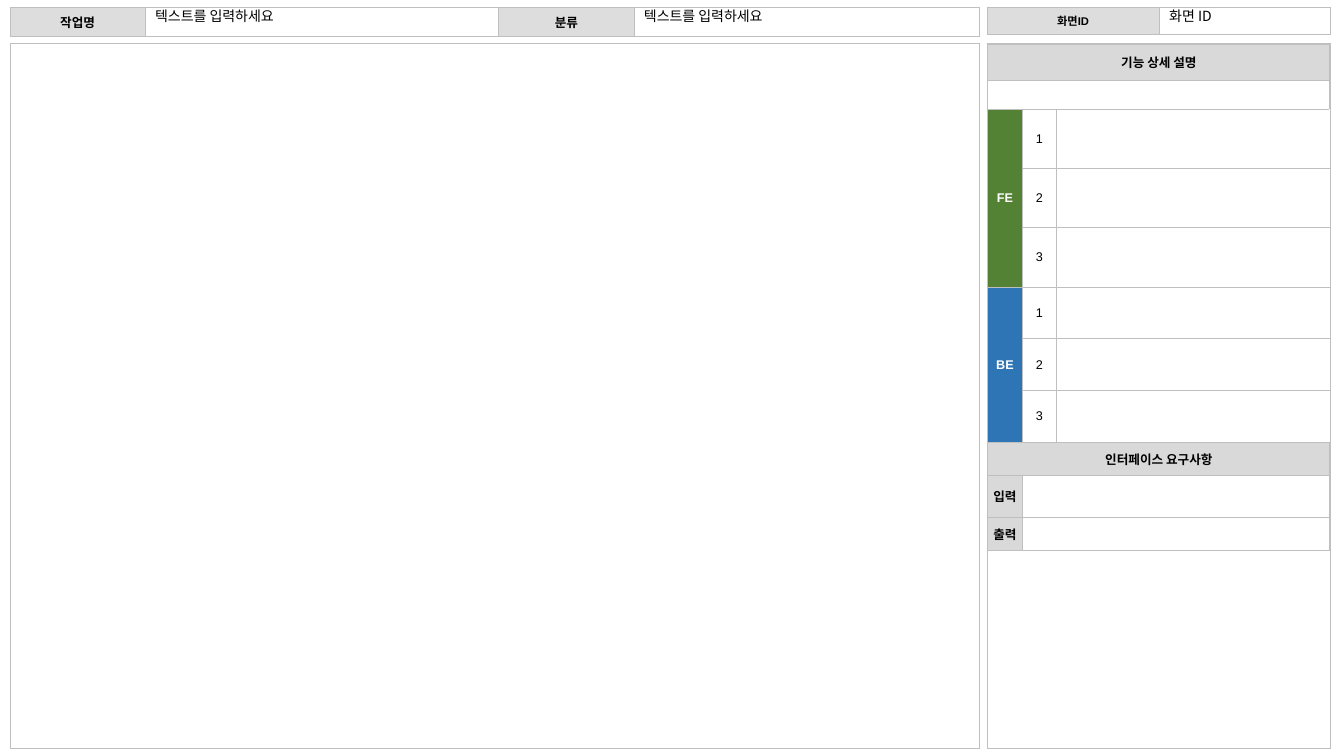
from lxml import etree
from pptx import Presentation
from pptx.dml.color import RGBColor
from pptx.enum.text import MSO_ANCHOR, PP_ALIGN
from pptx.oxml.ns import qn
from pptx.util import Pt

CENTER, LEFT = PP_ALIGN.CENTER, PP_ALIGN.LEFT
MIDDLE, TOP = MSO_ANCHOR.MIDDLE, MSO_ANCHOR.TOP
KOREAN_FONT = "Noto Sans CJK KR"
BORDER, LABEL, SECTION = "BFBFBF", "DDDDDD", "D9D9D9"
FRONTEND, BACKEND = "548235", "2E75B6"
PROMPT = "텍스트를 입력하세요"


def color(value):
    return RGBColor.from_string(value)


def write(frame, text, size=9, font="Arial", ink="000000", bold=False,
          align=CENTER, line_spacing=None):
    paragraph = frame.paragraphs[0]
    paragraph.alignment = align
    paragraph.line_spacing = line_spacing
    run = paragraph.add_run()
    run.text = text
    run.font.size = Pt(size)
    run.font.bold = bold
    run.font.name = font
    run.font.color.rgb = color(ink)
    properties = run.font._element
    etree.SubElement(properties, qn("a:ea"), typeface=KOREAN_FONT)


def draw_borders(cell, sides):
    properties = cell._tc.get_or_add_tcPr()
    for side in sides:
        line = etree.SubElement(properties, qn(f"a:ln{side}"), w=str(Pt(0.75)))
        fill = etree.SubElement(line, qn("a:solidFill"))
        etree.SubElement(fill, qn("a:srgbClr"), val=BORDER)


def add_grid(slide, left, top, columns, rows, inset=(2, 2), open_right=False):
    table = slide.shapes.add_table(
        len(rows), len(columns), Pt(left), Pt(top),
        Pt(sum(columns)), Pt(sum(rows))).table
    table.first_row = table.horz_banding = False
    for column, width in zip(table.columns, columns):
        column.width = Pt(width)
    for row, height in zip(table.rows, rows):
        row.height = Pt(height)
        for index, cell in enumerate(row.cells):
            cell.margin_left = cell.margin_right = Pt(inset[0])
            cell.margin_top = cell.margin_bottom = Pt(inset[1])
            cell.vertical_anchor = MIDDLE
            last = index == len(columns) - 1
            draw_borders(cell, "LTB" if open_right and last else "LRTB")
            cell.fill.background()
            paragraph = cell.text_frame.paragraphs[0]._p
            etree.SubElement(paragraph, qn("a:endParaRPr"), sz="800")
    return table


def fill_cell(cell, text, fill=None, **text_format):
    paragraph = cell.text_frame.paragraphs[0]._p
    paragraph.remove(paragraph.find(qn("a:endParaRPr")))
    write(cell.text_frame, text, **text_format)
    if fill:
        cell.fill.solid()
        cell.fill.fore_color.rgb = color(fill)


def add_entry(slide, left, top, width, height, text):
    shape = slide.shapes.add_textbox(Pt(left), Pt(top), Pt(width), Pt(height))
    frame = shape.text_frame
    frame.word_wrap = True
    frame.vertical_anchor = TOP
    frame.margin_top = frame.margin_bottom = Pt(1.5)
    write(frame, text, size=10, font=KOREAN_FONT, align=LEFT, line_spacing=0.9)


def add_header(slide, left, top, height, columns, fields, size):
    table = add_grid(slide, left, top, columns, [height], inset=(9.4, 3.6))
    for index, (label, entry) in enumerate(fields):
        fill_cell(table.cell(0, 2 * index), label, LABEL, size=size, bold=True)
        entry_left = left + sum(columns[:2 * index + 1])
        add_entry(slide, entry_left, top, columns[2 * index + 1], 18.7, entry)


def add_details(slide, left, top, width):
    columns = [24.5, 24.5, width - 49]
    rows = [25.5, 20.7] + [42.4] * 3 + [37] * 3 + [23.6, 29.8, 23.6]
    table = add_grid(slide, left, top, columns, rows, open_right=True)
    for row in (0, 1, 8):
        table.cell(row, 0).merge(table.cell(row, 2))
    fill_cell(table.cell(0, 0), "기능 상세 설명", SECTION, bold=True)
    fill_cell(table.cell(8, 0), "인터페이스 요구사항", SECTION, bold=True)
    for first, name, fill in ((2, "FE", FRONTEND), (5, "BE", BACKEND)):
        table.cell(first, 0).merge(table.cell(first + 2, 0))
        fill_cell(table.cell(first, 0), name, fill, ink="FFFFFF", bold=True)
        for offset in range(3):
            fill_cell(table.cell(first + offset, 1), str(offset + 1))
    for row, name in ((9, "입력"), (10, "출력")):
        table.cell(row, 1).merge(table.cell(row, 2))
        fill_cell(table.cell(row, 0), name, SECTION, bold=True)


def main():
    presentation = Presentation()
    presentation.slide_width = Pt(960)
    presentation.slide_height = Pt(540)
    slide = presentation.slides.add_slide(presentation.slide_layouts[6])

    main_left, main_width = 7.2, 692.6
    side_left, side_width = 705, 245.5
    panel_top, panel_height = 31, 503.3
    for left, width in ((side_left, side_width), (main_left, main_width)):
        add_grid(slide, left, panel_top, [width], [panel_height])

    add_header(slide, main_left, 5.4, 20.7, [96.5, 252.7, 96.5, 246.9],
               [("작업명", PROMPT), ("분류", PROMPT)], size=9)
    add_header(slide, side_left, 5.2, 19.4, [123.1, 122.4],
               [("화면ID", "화면 ID")], size=8)
    add_details(slide, side_left + 0.6, panel_top + 0.7, side_width - 1.2)
    presentation.save("out.pptx")


if __name__ == "__main__":
    main()
